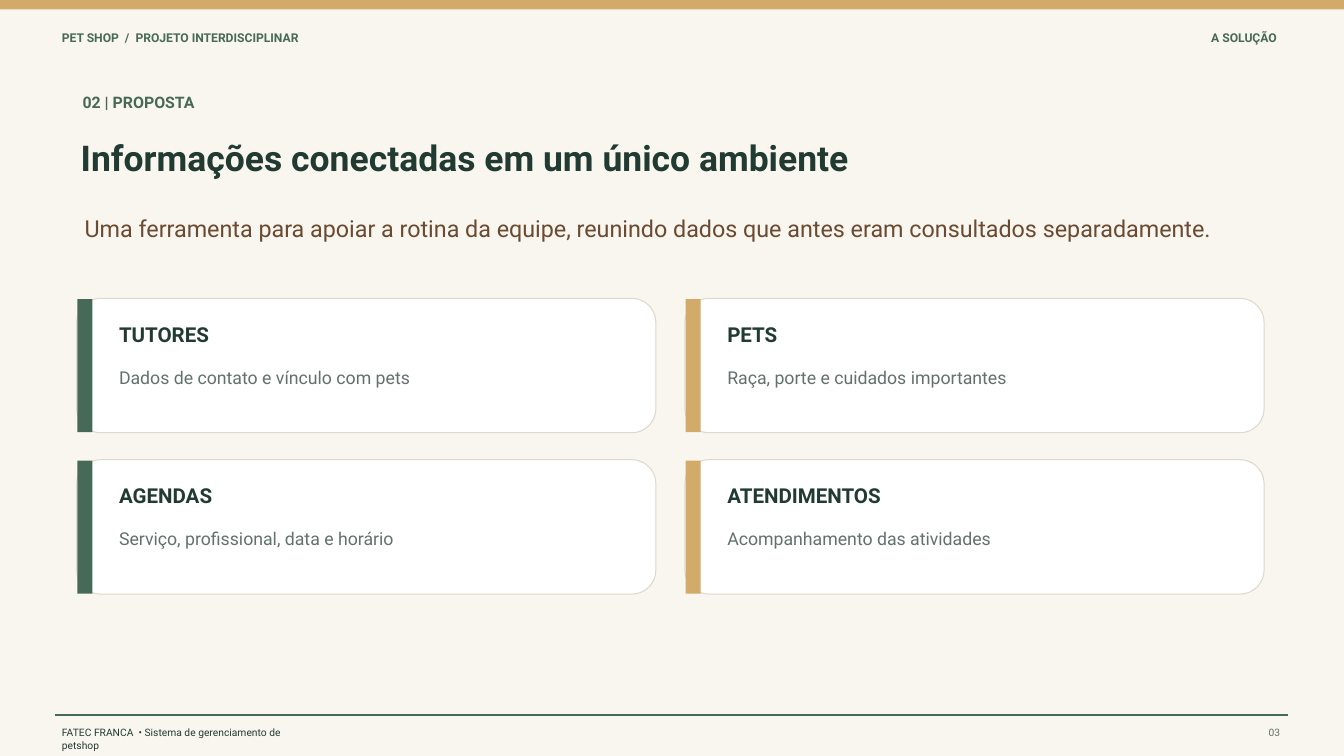
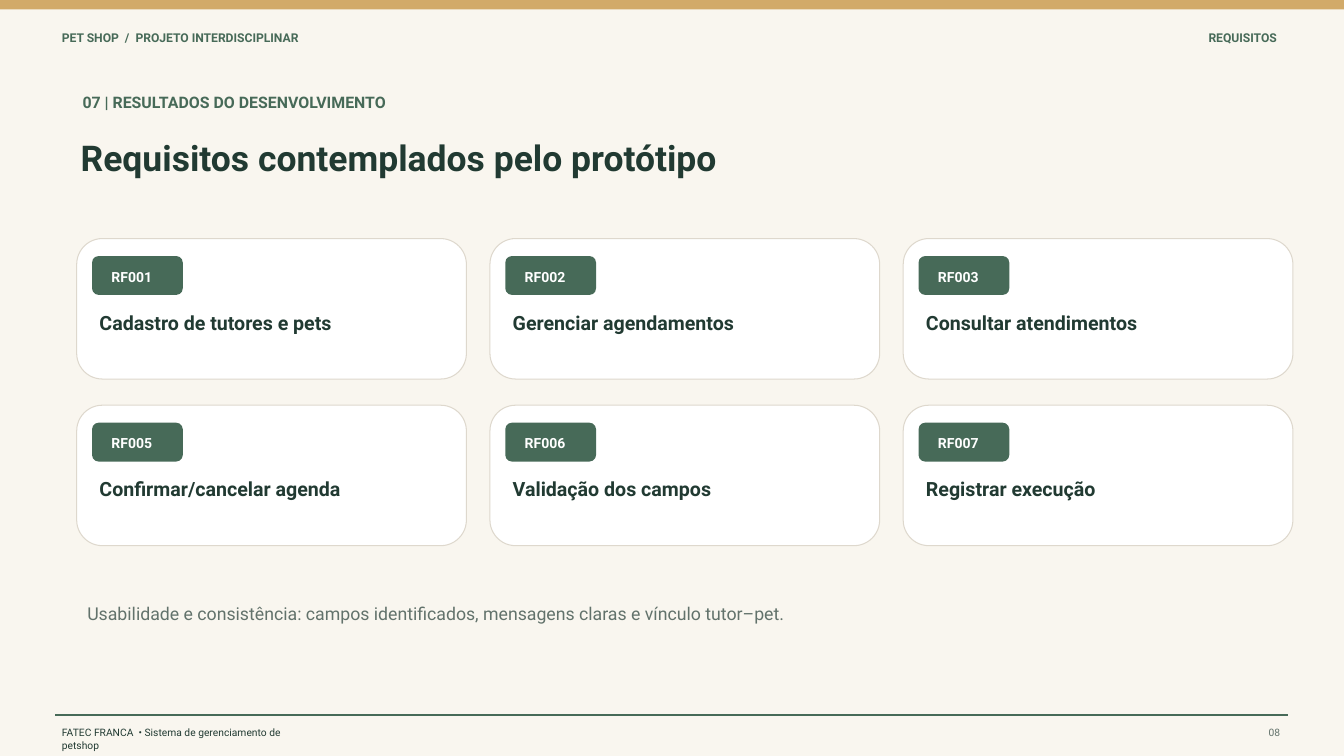
from pptx import Presentation
from pptx.dml.color import RGBColor
from pptx.enum.shapes import MSO_CONNECTOR, MSO_SHAPE
from pptx.enum.text import MSO_ANCHOR, MSO_AUTO_SIZE, PP_ALIGN
from pptx.util import Cm, Pt
from lxml import etree

# Shared style
FONT = "Roboto"
CREAM, WHITE, BORDER = "F9F6EF", "FFFFFF", "DED8CD"
GOLD, GREEN, DARK, BROWN, GRAY = "D2AA69", "476A58", "213A32", "6A4A30", "62726B"
SLIDE_W, SLIDE_H = 50.8, 28.58
LINE_RATIO = 1.26
CARD_LEFT = 2.9

ENTITIES = [
    ("TUTORES", "Dados de contato e vínculo com pets"),
    ("PETS", "Raça, porte e cuidados importantes"),
    ("AGENDAS", "Serviço, profissional, data e horário"),
    ("ATENDIMENTOS", "Acompanhamento das atividades"),
]
REQUIREMENTS = [
    ("RF001", "Cadastro de tutores e pets"),
    ("RF002", "Gerenciar agendamentos"),
    ("RF003", "Consultar atendimentos"),
    ("RF005", "Confirmar/cancelar agenda"),
    ("RF006", "Validação dos campos"),
    ("RF007", "Registrar execução"),
]


def rgb(hex_color):
    return RGBColor.from_string(hex_color)


def write(tf, text, size, color, bold=False, align=PP_ALIGN.LEFT, inset=(0, 0)):
    """Fill a text frame with one paragraph; inset is (left, top) in cm."""
    tf.text = text
    tf.word_wrap = True
    tf.auto_size = MSO_AUTO_SIZE.NONE
    tf.vertical_anchor = MSO_ANCHOR.TOP
    tf.margin_left, tf.margin_top = Cm(inset[0]), Cm(inset[1])
    tf.margin_right = tf.margin_bottom = 0
    p = tf.paragraphs[0]
    p.alignment = align
    p.line_spacing = Pt(round(size * LINE_RATIO, 1))
    font = p.runs[0].font
    font.name, font.size, font.bold = FONT, Pt(size), bold
    font.color.rgb = rgb(color)


def add_text(s, x, y, w, h, text, size, color, **style):
    box = s.shapes.add_textbox(Cm(x), Cm(y), Cm(w), Cm(h))
    write(box.text_frame, text, size, color, **style)


def add_box(s, x, y, w, h, fill, radius=0, border=None):
    kind = MSO_SHAPE.ROUNDED_RECTANGLE if radius else MSO_SHAPE.RECTANGLE
    sp = s.shapes.add_shape(kind, Cm(x), Cm(y), Cm(w), Cm(h))
    sp.shadow.inherit = False
    sp.fill.solid()
    sp.fill.fore_color.rgb = rgb(fill)
    if radius:
        sp.adjustments[0] = radius / min(w, h)
    if border:
        sp.line.color.rgb = rgb(border)
        sp.line.width = Pt(1.1)
    else:
        sp.line.fill.background()
    return sp


def add_rule(s, x1, x2, y, color):
    line = s.shapes.add_connector(MSO_CONNECTOR.STRAIGHT, Cm(x1), Cm(y), Cm(x2), Cm(y))
    line.line.color.rgb = rgb(color)
    line.line.width = Pt(1.5)
    sp_pr = line._element.spPr
    etree.SubElement(sp_pr, sp_pr.tag.split("}")[0].replace("presentationml", "drawingml") + "}effectLst")


def add_slide(prs, section, number, kicker, title):
    """Title-only slide with top band, header, kicker, title and footer."""
    s = prs.slides.add_slide(prs.slide_layouts[5])
    heading = s.shapes.title
    heading.left, heading.top = Cm(3.05), Cm(5.05)
    heading.width, heading.height = Cm(44.96), Cm(2.46)
    write(heading.text_frame, title, 38, DARK, bold=True)

    # Band and header
    add_box(s, 0, 0, SLIDE_W, 0.36, GOLD)
    add_text(s, 2.34, 1.12, 24.89, 0.66, "PET SHOP  /  PROJETO INTERDISCIPLINAR", 13, GREEN, bold=True)
    add_text(s, 38.35, 1.12, 9.91, 0.66, section, 13, GREEN, bold=True, align=PP_ALIGN.RIGHT)
    add_text(s, 3.12, 3.45, 37.59, 0.94, kicker, 17, GREEN, bold=True)

    # Footer
    add_rule(s, 2.08, 48.69, 27.03, GREEN)
    add_text(s, 2.34, 27.43, 9.47, 0.46, "FATEC FRANCA  • Sistema de gerenciamento de petshop", 11, DARK)
    add_text(s, 47.5, 27.43, 0.89, 0.51, number, 11, GRAY, align=PP_ALIGN.RIGHT)
    return s


def grid(items, columns, top, pitch_x, pitch_y):
    """Yield column, left, top and item for cards laid out row by row."""
    for i, item in enumerate(items):
        row, col = divmod(i, columns)
        yield col, CARD_LEFT + col * pitch_x, top + row * pitch_y, item


def add_entity_card(s, x, y, accent, name, detail):
    add_box(s, x, y, 21.89, 5.08, WHITE, radius=0.91, border=BORDER)
    add_box(s, x + 0.03, y + 0.03, 0.56, 5.03, accent)
    add_text(s, x + 1.6, y + 0.84, 18.8, 0.86, name, 22, DARK, bold=True)
    add_text(s, x + 1.6, y + 2.54, 18.54, 1.65, detail, 19, GRAY)


def add_requirement_card(s, x, y, code, name):
    add_box(s, x, y, 14.73, 5.31, WHITE, radius=0.97, border=BORDER)
    badge = add_box(s, x + 0.58, y + 0.66, 3.43, 1.47, GREEN, radius=0.25)
    write(badge.text_frame, code, 15, WHITE, bold=True, inset=(0.66, 0.36))
    add_text(s, x + 0.86, y + 2.67, 12.7, 1.98, name, 21, DARK, bold=True)


def build_solution(prs):
    s = add_slide(prs, "A SOLUÇÃO", "03", "02 | PROPOSTA",
                  "Informações conectadas em um único ambiente")
    add_text(s, 3.2, 8.05, 43.94, 2.06,
             "Uma ferramenta para apoiar a rotina da equipe, reunindo dados "
             "que antes eram consultados separadamente.", 25, BROWN)
    for col, x, y, (name, detail) in grid(ENTITIES, 2, 11.28, 22.99, 6.1):
        add_entity_card(s, x, y, (GREEN, GOLD)[col], name, detail)


def build_requirements(prs):
    s = add_slide(prs, "REQUISITOS", "08", "07 | RESULTADOS DO DESENVOLVIMENTO",
                  "Requisitos contemplados pelo protótipo")
    for _, x, y, (code, name) in grid(REQUIREMENTS, 3, 9.02, 15.62, 6.3):
        add_requirement_card(s, x, y, code, name)
    add_text(s, 3.3, 22.76, 44.45, 1.55,
             "Usabilidade e consistência: campos identificados, mensagens claras "
             "e vínculo tutor–pet.", 19, GRAY)


def main():
    prs = Presentation()
    prs.slide_width, prs.slide_height = Cm(SLIDE_W), Cm(SLIDE_H)
    background = prs.slide_master.background.fill
    background.solid()
    background.fore_color.rgb = rgb(CREAM)
    build_solution(prs)
    build_requirements(prs)
    prs.save("out.pptx")


if __name__ == "__main__":
    main()
